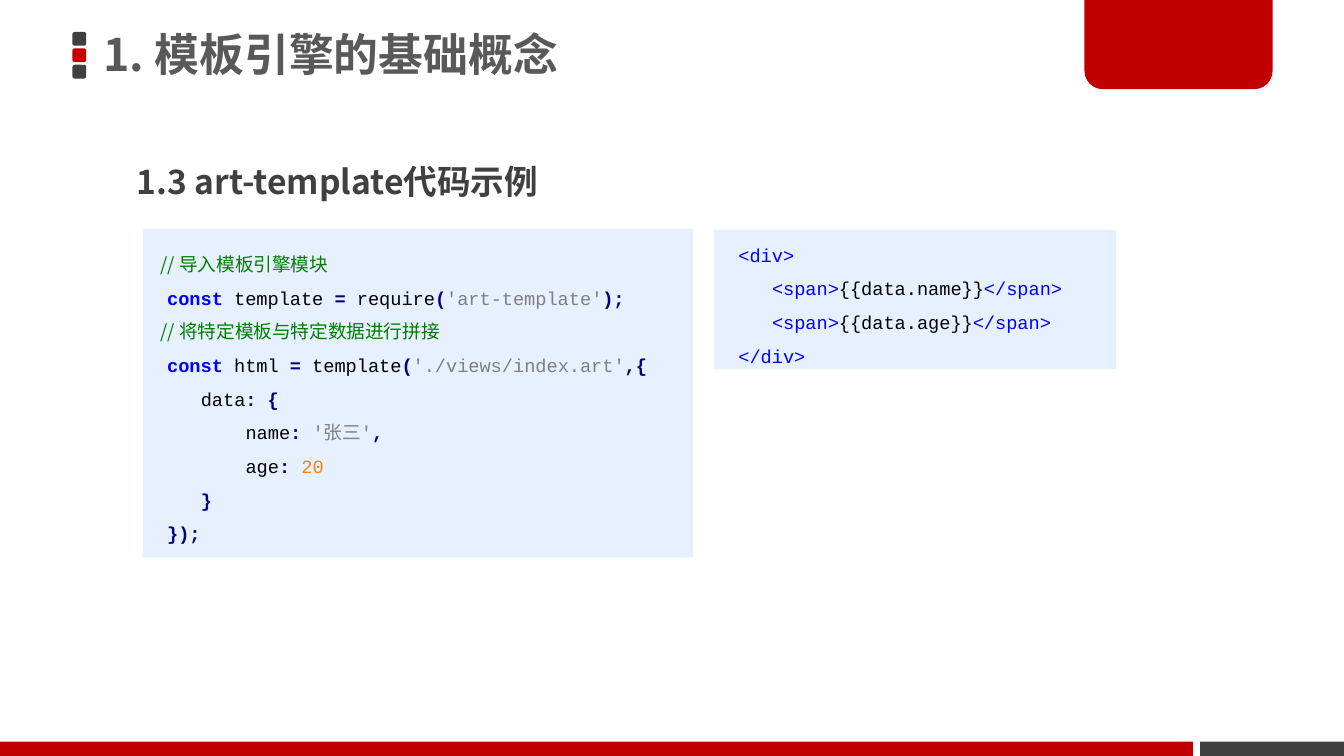
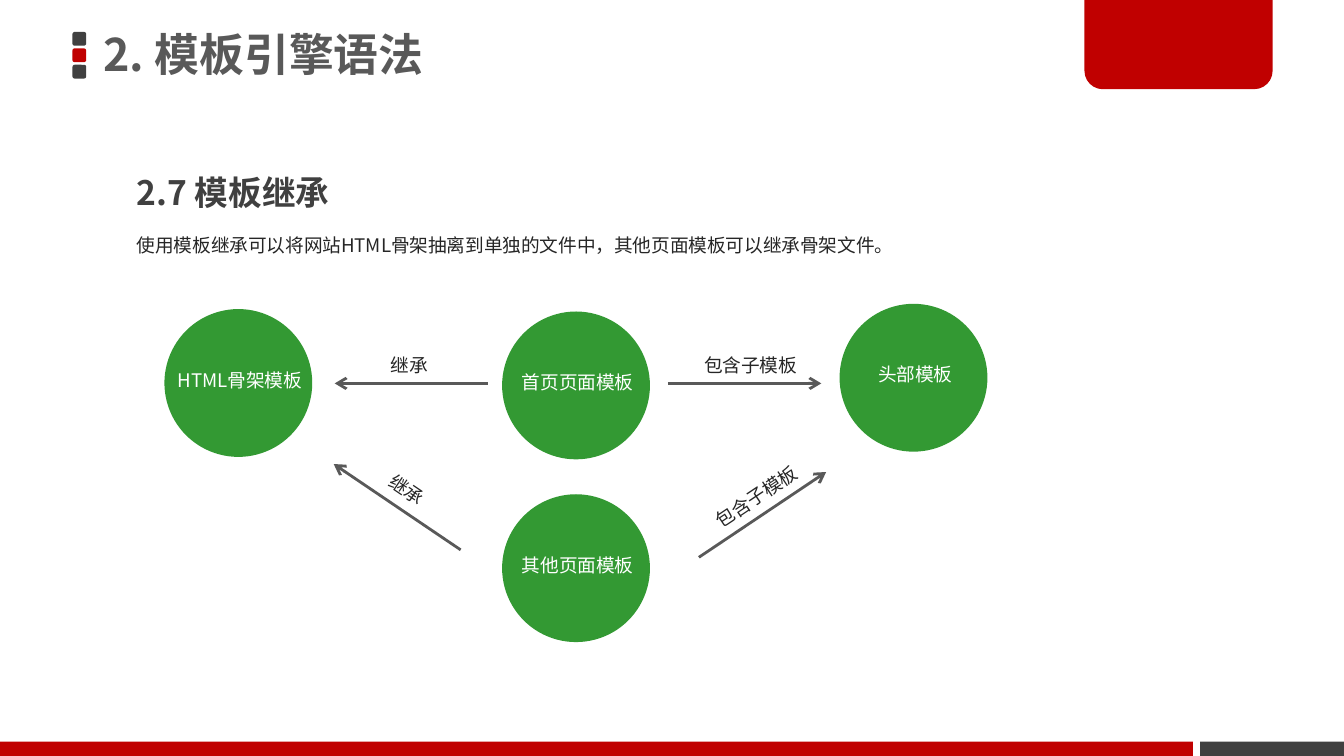
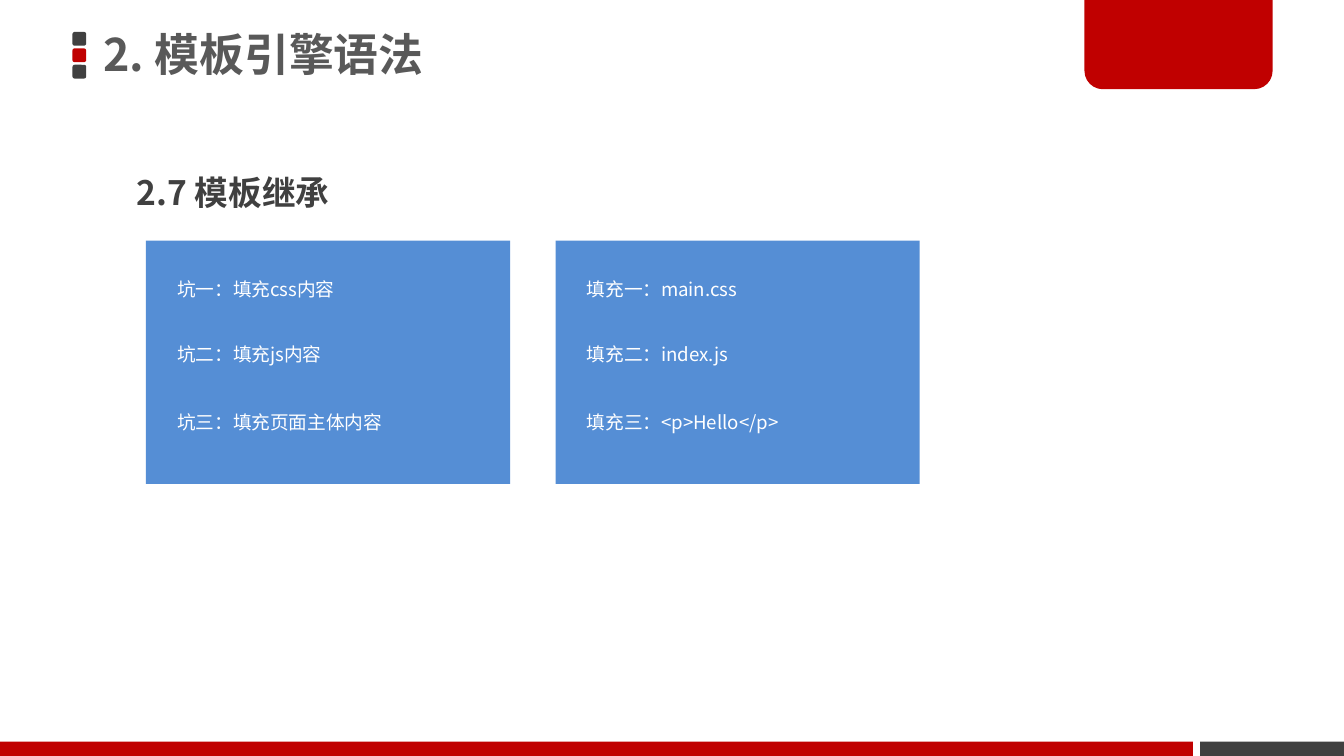
from dataclasses import dataclass

from lxml.etree import SubElement
from pptx import Presentation
from pptx.dml.color import RGBColor
from pptx.enum.shapes import MSO_CONNECTOR, MSO_SHAPE
from pptx.enum.text import MSO_ANCHOR, MSO_AUTO_SIZE, PP_ALIGN
from pptx.oxml.ns import qn
from pptx.util import Pt


@dataclass(frozen=True)
class Theme:
    sans: str = "Noto Sans CJK SC"
    mono: str = "Courier New"
    red: str = "C00000"
    dark: str = "404040"
    title: str = "595959"
    text: str = "262626"
    white: str = "FFFFFF"
    green: str = "339933"
    blue: str = "558ED5"
    code_bg: str = "E6F0FF"
    title_size: int = 24
    heading_size: int = 18
    body_size: int = 10


T = Theme()

# Code token kinds: colour, bold
TOKENS = {
    "comment": ("008000", False),
    "keyword": ("0000FF", True),
    "plain": ("000000", False),
    "op": ("000080", True),
    "string": ("808080", False),
    "number": ("FF8000", False),
    "tag": ("0000FF", False),
}
CODE_COLUMN = 6  # width of one monospaced character

# Each code line: indent in columns, then (kind, text) tokens
SCRIPT_CODE = [
    (0.4, [("comment", "// 导入模板引擎模块")]),
    (1, [("keyword", "const"), ("plain", " template "), ("op", "="),
         ("plain", " require"), ("op", "("), ("string", "'art-template'"), ("op", ");")]),
    (0.4, [("comment", "// 将特定模板与特定数据进行拼接")]),
    (1, [("keyword", "const"), ("plain", " html "), ("op", "="), ("plain", " template"),
         ("op", "("), ("string", "'./views/index.art'"), ("op", ",{")]),
    (4, [("plain", "data"), ("op", ": {")]),
    (8, [("plain", "name"), ("op", ": "), ("string", "'张三'"), ("op", ",")]),
    (8, [("plain", "age"), ("op", ": "), ("number", "20")]),
    (4, [("op", "}")]),
    (1, [("op", "});")]),
]
MARKUP_CODE = [
    (1, [("tag", "<div>")]),
    (4, [("tag", "<span>"), ("plain", "{{data.name}}"), ("tag", "</span>")]),
    (4, [("tag", "<span>"), ("plain", "{{data.age}}"), ("tag", "</span>")]),
    (1, [("tag", "</div>")]),
]


# Basic elements
def set_font(font, size, name=T.sans):
    font.size = Pt(size)
    font.name = name
    SubElement(font._rPr, qn("a:ea")).set("typeface", T.sans)


def set_color(font, color, bold=False):
    font.color.rgb = RGBColor.from_string(color)
    font.bold = bold


def add_block(shapes, kind, x, y, w, h, color):
    sp = shapes.add_shape(kind, Pt(x), Pt(y), Pt(w), Pt(h))
    sp.shadow.inherit = False
    sp.fill.solid()
    sp.fill.fore_color.rgb = RGBColor.from_string(color)
    sp.line.fill.background()
    return sp


def add_text(shapes, text, x, y, w, h=19.4, size=T.body_size, color=T.text,
             bold=False, spacing=None, align=None, rotation=0):
    sp = shapes.add_textbox(Pt(x), Pt(y), Pt(w), Pt(h))
    sp.rotation = rotation
    tf = sp.text_frame
    tf.word_wrap = True
    tf.auto_size = MSO_AUTO_SIZE.SHAPE_TO_FIT_TEXT
    p = tf.paragraphs[0]
    p.text = text
    p.alignment = align
    p.line_spacing = spacing
    set_color(p.font, color, bold)
    set_font(p.font, size)
    return tf


# Shared frame: marker, corner tab, footer bands and title
def add_frame(prs, title):
    s = prs.slides.add_slide(prs.slide_layouts[6])
    marker = s.shapes.add_group_shape().shapes
    for i, color in enumerate((T.dark, T.red, T.dark)):
        add_block(marker, MSO_SHAPE.ROUNDED_RECTANGLE, 38.8, 17.1 + 8.8 * i, 7.4, 7.4, color)
    add_block(s.shapes, MSO_SHAPE.RECTANGLE, 643, 397.4, 77, 7.6, T.dark)
    tab = add_block(s.shapes, MSO_SHAPE.ROUND_2_SAME_RECTANGLE, 581, -1.4, 100.8, 49.2, T.red)
    tab.adjustments[0] = 0
    tab.adjustments[1] = 0.2
    add_block(s.shapes, MSO_SHAPE.RECTANGLE, 0, 397.4, 639, 7.6, T.red)
    tf = add_text(s.shapes, title, 49.7, -1.4, 424, 64, T.title_size, T.title, True, 0.9)
    tf.auto_size = MSO_AUTO_SIZE.NONE
    tf.vertical_anchor = MSO_ANCHOR.MIDDLE
    tf.margin_left = tf.margin_right = Pt(5.8)
    tf.margin_top = tf.margin_bottom = Pt(2.9)
    return s


def add_heading(s, text, y=77.8):
    add_text(s.shapes, text, 66.2, y, 276.5, 39.6, T.heading_size, T.dark, True, 1.5)


# Content elements
def add_code(s, lines, x, y, w, h):
    sp = add_block(s.shapes, MSO_SHAPE.RECTANGLE, x, y, w, h, T.code_bg)
    tf = sp.text_frame
    tf.word_wrap = True
    tf.vertical_anchor = MSO_ANCHOR.MIDDLE
    for i, (indent, tokens) in enumerate(lines):
        p = tf.add_paragraph() if i else tf.paragraphs[0]
        p.alignment = PP_ALIGN.LEFT
        p.line_spacing = 1.5
        p._p.get_or_add_pPr().set("marL", str(Pt(indent * CODE_COLUMN)))
        set_font(p.font, T.body_size, T.sans if tokens[0][0] == "comment" else T.mono)
        for kind, text in tokens:
            r = p.add_run()
            r.text = text
            set_color(r.font, *TOKENS[kind])


def add_node(s, text, x, y):
    shapes = s.shapes.add_group_shape().shapes
    add_block(shapes, MSO_SHAPE.OVAL, x, y, 79.2, 79.2, T.green)
    add_text(shapes, text, x - 10.6, y + 28.3, 102.2, color=T.white, align=PP_ALIGN.CENTER)


def add_arrow(s, text, start, end, label, width, rotation=0):
    shapes = s.shapes.add_group_shape().shapes
    c = shapes.add_connector(MSO_CONNECTOR.STRAIGHT, *map(Pt, start + end))
    c.line.color.rgb = RGBColor.from_string(T.title)
    c.line.width = Pt(1.5)
    SubElement(c.line._get_or_add_ln(), qn("a:tailEnd")).set("type", "arrow")
    SubElement(c._element.spPr, qn("a:effectLst"))
    add_text(shapes, text, *label, width, align=PP_ALIGN.CENTER, rotation=rotation)


def add_panel(s, x, items):
    shapes = s.shapes.add_group_shape().shapes
    add_block(shapes, MSO_SHAPE.RECTANGLE, x, 128.9, 195.1, 130.3, T.blue)
    for y, text in zip((145.4, 180, 216.7), items):
        add_text(shapes, text, x + 9.7, y, 176.4, color=T.white)


# Slides
def code_slide(prs):
    s = add_frame(prs, "1. 模板引擎的基础概念")
    add_heading(s, "1.3 art-template代码示例", 72)
    add_code(s, SCRIPT_CODE, 76.5, 122.6, 294.8, 176)
    add_code(s, MARKUP_CODE, 382.5, 123.2, 215.5, 74.6)


def inheritance_slide(prs):
    s = add_frame(prs, "2. 模板引擎语法")
    add_heading(s, "2.7 模板继承")
    add_text(s.shapes, "使用模板继承可以将网站HTML骨架抽离到单独的文件中，其他页面模板可以继承骨架文件。",
             66.2, 115.9, 554.4, 25.2, spacing=1.5)
    for text, x, y in (("HTML骨架模板", 88.1, 165.6), ("首页页面模板", 269, 166.9),
                       ("头部模板", 449.8, 162.8), ("其他页面模板", 269, 264.8)):
        add_node(s, text, x, y)
    add_arrow(s, "继承", (261.4, 205.4), (179.3, 205.4), (177.1, 185.8), 84.2)
    add_arrow(s, "包含子模板", (357.8, 205.4), (440, 205.4), (354.2, 185.8), 95.8)
    add_arrow(s, "包含子模板", (374.4, 298.6), (442.6, 252.9), (357.8, 256.3), 95, -33.8)
    add_arrow(s, "继承", (246.8, 294.6), (178.8, 248.6), (175.7, 252.7), 84.2, 34.2)


def slots_slide(prs):
    s = add_frame(prs, "2. 模板引擎语法")
    add_heading(s, "2.7 模板继承")
    add_panel(s, 297.6, ("填充一：main.css", "填充二：index.js", "填充三：<p>Hello</p>"))
    add_panel(s, 78.2, ("坑一：填充css内容", "坑二：填充js内容", "坑三：填充页面主体内容"))


def main():
    prs = Presentation()
    prs.slide_width, prs.slide_height = Pt(720), Pt(405)
    code_slide(prs)
    inheritance_slide(prs)
    slots_slide(prs)
    prs.save("out.pptx")


if __name__ == "__main__":
    main()
